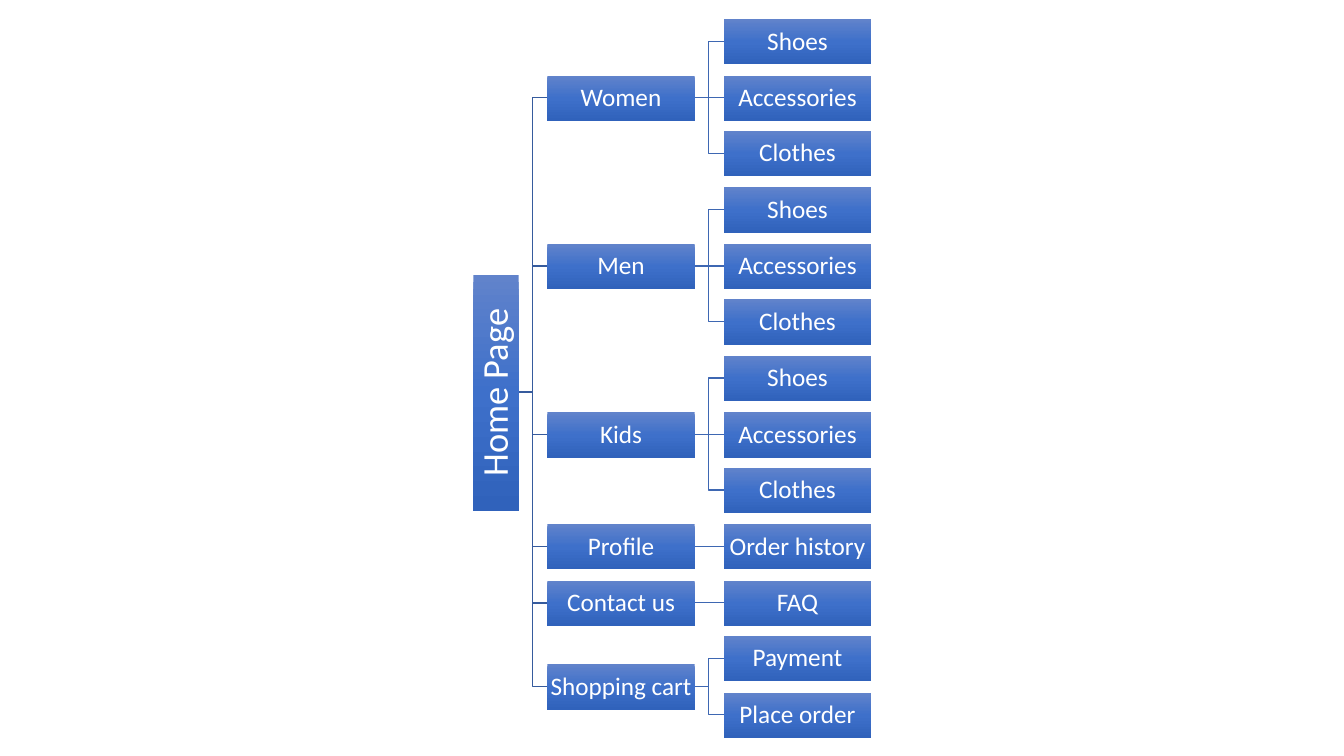
from copy import deepcopy

from pptx import Presentation
from pptx import util as u
from pptx.dml.color import RGBColor
from pptx.enum import shapes, text
from pptx.oxml import parse_xml
from pptx.oxml.ns import nsdecls

PX = 9144
WHITE = RGBColor(0xFF, 0xFF, 0xFF)
TOP_BLUE = RGBColor(0x61, 0x83, 0xCB)
MID_BLUE = RGBColor(0x3E, 0x70, 0xCA)
LOW_BLUE = RGBColor(0x30, 0x62, 0xBB)
ROOT_LINE = RGBColor(0x36, 0x5B, 0x9D)
LEAF_LINE = RGBColor(0x3E, 0x67, 0xB2)

BOX_W, BOX_H, GAP = 146, 45, 29
ROOT_X, ROOT_H = 469, 234
PAGE_X = ROOT_X + BOX_H + GAP
LEAF_X = PAGE_X + BOX_W + GAP
FIRST_Y, LAST_Y = 19, 687
GOODS = ["Shoes", "Accessories", "Clothes"]
SITE = {
    "Women": GOODS,
    "Men": GOODS,
    "Kids": GOODS,
    "Profile": ["Order history"],
    "Contact us": ["FAQ"],
    "Shopping cart": ["Payment", "Place order"],
}


def write(tf, words, size=18, color=WHITE, font="Calibri", inset=1):
    """Put one centred line of text into a text frame."""
    tf.word_wrap = True
    tf.vertical_anchor = text.MSO_ANCHOR.MIDDLE
    tf.margin_left = tf.margin_right = inset * PX
    tf.margin_top = tf.margin_bottom = inset * PX
    p = tf.paragraphs[0]
    p.alignment = text.PP_ALIGN.CENTER
    p.line_spacing = 0.9
    r = p.add_run()
    r.text = words
    r.font.size = u.Pt(size)
    r.font.name = font
    r.font.color.rgb = color


class SiteMap:
    """Draw the boxes and links of a site map on one slide."""

    def __init__(self, slide):
        self.shapes = slide.shapes
        self.stops = [(0, TOP_BLUE), (0.5, MID_BLUE), (1, LOW_BLUE)]

    def shade(self, sp):
        """Fill a shape with the blue gradient, light at the top."""
        sp.fill.gradient()
        sp.fill.gradient_angle = 270
        grad = sp._element.spPr.find(".//{*}gradFill")
        grad.set("rotWithShape", "0")
        stops = grad.find("{*}gsLst")
        stops.insert(1, deepcopy(stops[0]))
        for stop, (position, color) in zip(sp.fill.gradient_stops, self.stops):
            stop.position = position
            stop.color.rgb = color

    def box(self, words, x, y, w=BOX_W, rotation=0, **style):
        """Add a labelled gradient box."""
        sp = self.shapes.add_shape(
            shapes.MSO_SHAPE.RECTANGLE, x * PX, y * PX, w * PX, BOX_H * PX)
        sp.rotation = rotation
        sp.shadow.inherit = False
        sp.line.fill.background()
        self.shade(sp)
        write(sp.text_frame, words, **style)

    def link(self, x, y, end_y, color):
        """Join two levels across the gap, with a bend where heights differ."""
        end_x, bend = x + GAP, x + GAP // 2
        if y == end_y:
            sp = self.shapes.add_connector(
                shapes.MSO_CONNECTOR.STRAIGHT, x * PX, y * PX, end_x * PX, y * PX)
            sp._element.spPr.append(parse_xml(f"<a:effectLst {nsdecls('a')}/>"))
        else:
            path = self.shapes.build_freeform(x, y, scale=PX)
            path.add_line_segments(
                [(bend, y), (bend, end_y), (end_x, end_y)], close=False)
            sp = path.convert_to_shape()
            sp.fill.background()
            sp.shadow.inherit = False
        sp.line.color.rgb = color
        sp.line.width = u.Pt(1)


def main():
    """Build the site map and save it."""
    prs = Presentation()
    prs.slide_width, prs.slide_height = 1333 * PX, 750 * PX
    site = SiteMap(prs.slides.add_slide(prs.slide_layouts[6]))

    rows = sum(len(leaves) for leaves in SITE.values())
    leaf_tops = [round(FIRST_Y + (LAST_Y - FIRST_Y) * row / (rows - 1))
                 for row in range(rows)]
    half = BOX_H // 2
    pages, row = [], 0
    for page, leaves in SITE.items():
        tops = leaf_tops[row:row + len(leaves)]
        row += len(leaves)
        pages.append((page, round(sum(tops) / len(tops)), leaves, tops))

    root_y = (pages[0][1] + pages[-1][1]) // 2
    for page, y, leaves, tops in pages:
        site.link(ROOT_X + BOX_H, root_y + half, y + half, ROOT_LINE)
        for top in tops:
            site.link(PAGE_X + BOX_W, y + half, top + half, LEAF_LINE)

    site.box("Home Page", ROOT_X - (ROOT_H - BOX_H) // 2, root_y,
             w=ROOT_H, rotation=270, size=26, inset=2)
    for page, y, leaves, tops in pages:
        site.box(page, PAGE_X, y)
        for leaf, top in zip(leaves, tops):
            site.box(leaf, LEAF_X, top)

    prs.save("out.pptx")


if __name__ == "__main__":
    main()
